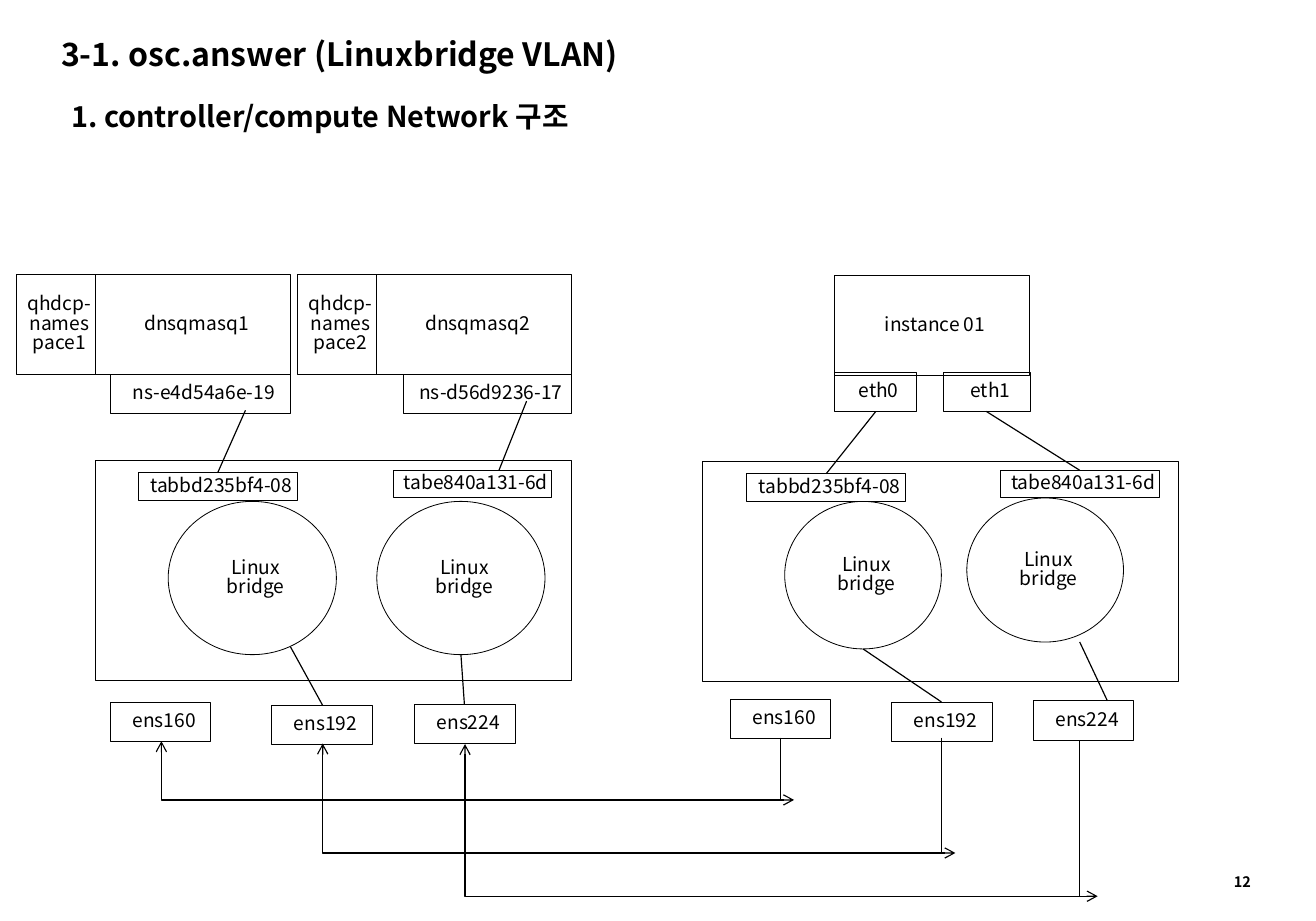
from collections import namedtuple
from dataclasses import dataclass

from lxml import etree
from pptx import Presentation
from pptx.dml.color import RGBColor
from pptx.enum.shapes import MSO_CONNECTOR, MSO_SHAPE
from pptx.enum.text import MSO_ANCHOR, PP_ALIGN
from pptx.oxml.ns import qn
from pptx.util import Inches, Pt

RECTANGLE, OVAL = MSO_SHAPE.RECTANGLE, MSO_SHAPE.OVAL
STRAIGHT, ELBOW = MSO_CONNECTOR.STRAIGHT, MSO_CONNECTOR.ELBOW
LEFT, CENTER = PP_ALIGN.LEFT, PP_ALIGN.CENTER
MIDDLE = MSO_ANCHOR.MIDDLE

Box = namedtuple("Box", "left top width height")


@dataclass(frozen=True)
class Theme:
    font: str = "Noto Sans CJK KR"
    ink: RGBColor = RGBColor(0, 0, 0)
    title: int = 20
    subtitle: int = 18
    label: int = 12
    page_number: int = 9
    outline: float = 0.5
    wire: float = 0.75
    label_spacing: float = 0.83


THEME = Theme()
FRAME_SIZE = (4.13, 1.91)
MACHINE_SIZE = (1.69, 0.87)
NAMESPACE_SIZE = (0.69, 0.87)
TAP_SIZE = (1.38, 0.24)
NIC_SIZE = (0.87, 0.34)
PORT_HEIGHT = 0.34
TAPS = ("tabbd235bf4-08", "tabe840a131-6d")
NICS = ("ens160", "ens192", "ens224")


def inches(*lengths):
    return [Inches(round(length, 2)) for length in lengths]


def write(shape, text, size, bold=False, align=LEFT, margins=(0.1, 0.05, 0.1, 0.05),
          spacing=None, wrap=True):
    frame = shape.text_frame
    frame.word_wrap = wrap
    frame.vertical_anchor = MIDDLE
    (frame.margin_left, frame.margin_top,
     frame.margin_right, frame.margin_bottom) = inches(*margins)
    para = frame.paragraphs[0]
    para.alignment = align
    if spacing:
        para.line_spacing = spacing
    span = para.add_run()
    span.text = text
    span.font.size = Pt(size)
    span.font.bold = bold
    span.font.color.rgb = THEME.ink
    span.font.name = THEME.font
    # East Asian typeface for the Korean letters
    etree.SubElement(span.font._element, qn("a:ea"), typeface=THEME.font)


def add_text(page, box, text, **style):
    write(page.shapes.add_textbox(*inches(*box)), text, **style)


def add_node(page, area, at, size, text="", kind=RECTANGLE):
    """Outlined node, placed from the corner of its area."""
    node = page.shapes.add_shape(
        kind, *inches(area.left + at[0], area.top + at[1], *size))
    node.shadow.inherit = False
    node.fill.background()
    node.line.color.rgb = THEME.ink
    node.line.width = Pt(THEME.outline)
    if text:
        write(node, text, THEME.label, align=CENTER, margins=(0.08, 0, 0.02, 0),
              spacing=THEME.label_spacing)


def add_wire(page, area, start, end, kind=STRAIGHT):
    wire = page.shapes.add_connector(
        kind, *inches(area.left + start[0], area.top + start[1],
                      area.left + end[0], area.top + end[1]))
    wire.line.color.rgb = THEME.ink
    wire.line.width = Pt(THEME.wire)
    etree.SubElement(wire._element.spPr, qn("a:effectLst"))
    return wire


def add_corner_arrow(page, area, start, run, drop):
    """Arrow down and then right, with an open head at both ends."""
    middle_x, middle_y = start[0] + run / 2, start[1] + drop / 2
    arrow = add_wire(page, area, (middle_x - drop / 2, middle_y - run / 2),
                     (middle_x + drop / 2, middle_y + run / 2), ELBOW)
    properties = arrow._element.spPr
    properties.find(qn("a:prstGeom")).set("prst", "bentConnector2")
    transform = properties.find(qn("a:xfrm"))
    transform.set("rot", str(270 * 60000))
    transform.set("flipH", "1")
    outline = properties.find(qn("a:ln"))
    for tip in ("a:headEnd", "a:tailEnd"):
        etree.SubElement(outline, qn(tip), type="arrow")


def draw_header(page, box):
    title = page.shapes.title
    title.left, title.top, title.width, title.height = inches(
        box.left, box.top, box.width, 0.39)
    write(title, "3-1. osc.answer (Linuxbridge VLAN)", THEME.title, bold=True)
    add_text(page, Box(box.left + 0.09, box.top + 0.54, 4.84, 0.4),
             "1. controller/compute Network 구조", size=THEME.subtitle, bold=True)


def draw_bridge_host(page, area, frame, taps, bridges, nics, wires):
    """Frame with taps and bridges, the network cards below, and the wiring."""
    add_node(page, area, frame, FRAME_SIZE)
    for at, name in zip(taps, TAPS):
        add_node(page, area, at, TAP_SIZE, name)
    for at, size in bridges:
        add_node(page, area, at, size, "Linux bridge", OVAL)
    for at, name in zip(nics, NICS):
        add_node(page, area, at, NIC_SIZE, name)
    for start, end in wires:
        add_wire(page, area, start, end)


def draw_controller(page, area):
    # DHCP namespaces with their ports
    ports = (("ns-e4d54a6e-19", 0.82, 1.56), ("ns-d56d9236-17", 3.36, 1.46))
    for index, (port, port_left, port_width) in enumerate(ports):
        left = index * 2.44
        add_node(page, area, (left, 0), NAMESPACE_SIZE, f"qhdcp-namespace{index + 1}")
        add_node(page, area, (left + NAMESPACE_SIZE[0], 0), MACHINE_SIZE,
                 f"dnsqmasq{index + 1}")
        add_node(page, area, (port_left, MACHINE_SIZE[1]), (port_width, PORT_HEIGHT), port)

    bridge_size = (1.46, 1.33)
    draw_bridge_host(
        page, area, frame=(0.69, 1.61),
        taps=((1.06, 1.72), (3.27, 1.7)),
        bridges=(((1.32, 1.97), bridge_size), ((3.13, 1.97), bridge_size)),
        nics=((0.82, 3.71), (2.22, 3.74), (3.46, 3.73)),
        wires=(((1.99, 1.18), (1.75, 1.72)), ((4.43, 1.1), (4.19, 1.7)),
               ((2.38, 3.23), (2.66, 3.74)), ((3.86, 3.3), (3.89, 3.73))))


def draw_compute(page, area):
    # Instance with its ports
    add_node(page, area, (1.14, 0), MACHINE_SIZE, "instance 01")
    for port, left, width in (("eth0", 1.14, 0.71), ("eth1", 2.09, 0.75)):
        add_node(page, area, (left, 0.84), (width, PORT_HEIGHT), port)

    draw_bridge_host(
        page, area, frame=(0, 1.61),
        taps=((0.38, 1.72), (2.58, 1.69)),
        bridges=(((0.71, 1.96), (1.36, 1.28)), ((2.29, 1.93), (1.36, 1.25))),
        nics=((0.24, 3.68), (1.64, 3.7), (2.87, 3.69)),
        wires=(((1.5, 1.18), (1.07, 1.72)), ((2.46, 1.18), (3.27, 1.69)),
               ((1.39, 3.24), (2.07, 3.7)), ((3.27, 3.18), (3.51, 3.69))))


def draw_links(page, area):
    # One arrow per network, joined by a riser from the compute side
    links = (((0, 0), 0.52, (5.37, -0.03)),
             ((1.4, 0.02), 0.95, (6.77, -0.03)),
             ((2.63, 0.02), 1.32, (7.97, 0)))
    for start, drop, riser in links:
        add_corner_arrow(page, area, start, 5.49, drop)
        add_wire(page, area, riser, (riser[0], start[1] + drop))


def main():
    deck = Presentation()
    deck.slide_width, deck.slide_height = inches(11.42, 7.99)
    title_only = deck.slide_layouts[5]
    page = deck.slides.add_slide(title_only)

    draw_header(page, Box(0.43, 0.27, 5.79, 0.94))
    draw_controller(page, Box(0.14, 2.38, 4.82, 4.08))
    draw_compute(page, Box(6.1, 2.39, 4.13, 4.04))
    draw_links(page, Box(1.4, 6.43, 8.11, 1.34))
    add_text(page, Box(10.61, 7.52, 0.8, 0.25), "12", size=THEME.page_number, bold=True)

    deck.save("out.pptx")


if __name__ == "__main__":
    main()
